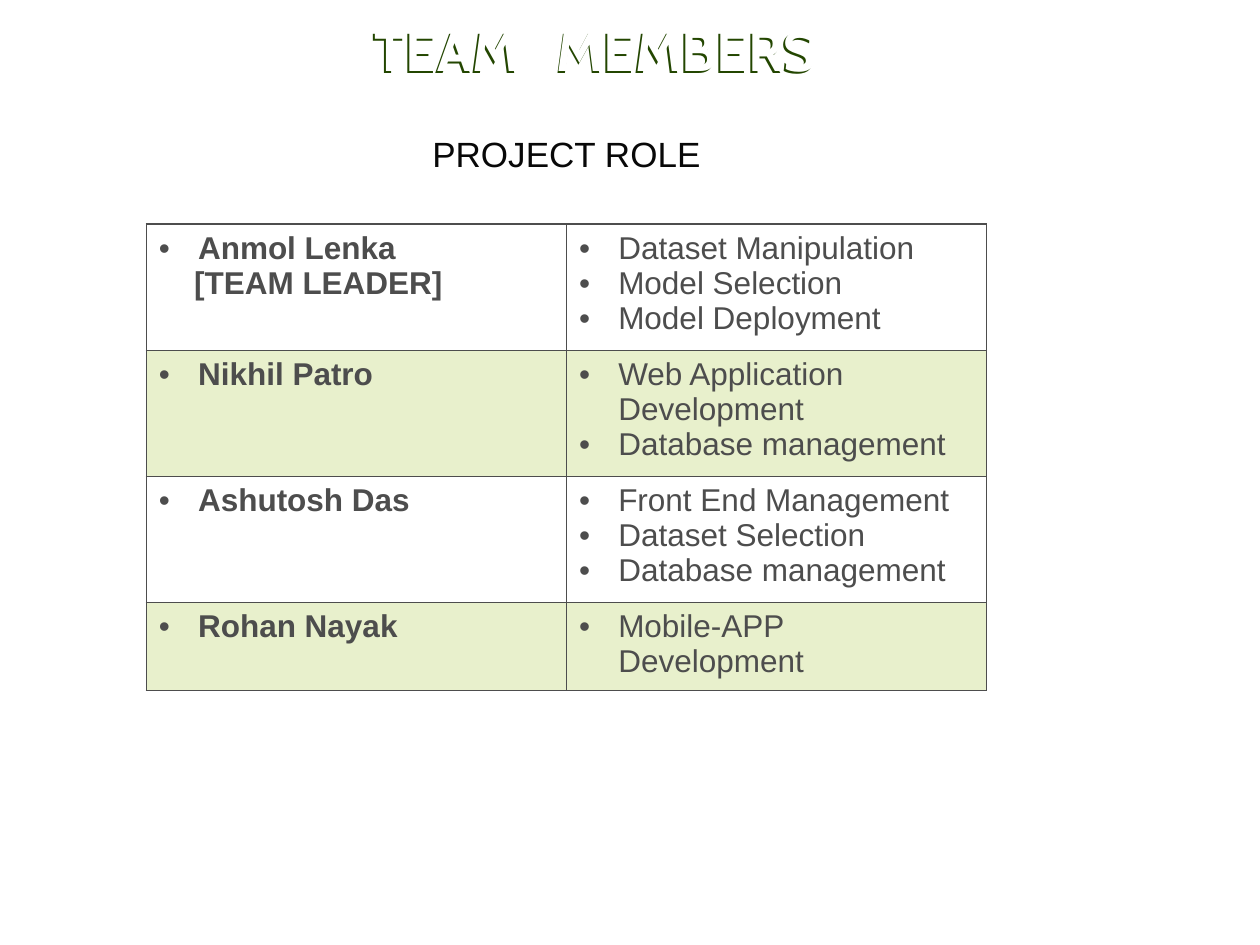
from lxml.etree import SubElement
from pptx import Presentation
from pptx.dml.color import RGBColor
from pptx.enum.text import MSO_ANCHOR, PP_ALIGN
from pptx.oxml.ns import qn
from pptx.util import Cm, Pt

TITLE = "TEAM   MEMBERS"
HEADING = "PROJECT ROLE"
MEMBERS = [
    ("Anmol Lenka", "[TEAM LEADER]", 3,
     ["Dataset Manipulation", "Model Selection", "Model Deployment"]),
    ("Nikhil Patro", None, 3, ["Web Application Development", "Database management"]),
    ("Ashutosh Das", None, 3,
     ["Front End Management", "Dataset Selection", "Database management"]),
    ("Rohan Nayak", None, 2, ["Mobile-APP Development"]),
]
GREY, BAND, SHADOW = "4D4D4D", "E8F0CC", "234600"
COLUMN_WIDTH, LINE_HEIGHT, ROW_PADDING = 8.47, 0.71, 0.25


def hex_color(value):
    return RGBColor.from_string(value)


def add_node(parent, tag, **attributes):
    return SubElement(parent, qn(tag), {key: str(value) for key, value in attributes.items()})


def write(frame, text, size=18, color=GREY, font="Arial", bold=False, align=PP_ALIGN.LEFT,
          bullet=False, indent=0, first=True):
    paragraph = frame.paragraphs[0] if first else frame.add_paragraph()
    paragraph.alignment = align
    run = paragraph.add_run()
    run.text = text
    run.font.size, run.font.name, run.font.bold = Pt(size), font, bold
    run.font.color.rgb = hex_color(color)
    properties = paragraph._p.get_or_add_pPr()
    properties.set("marL", str(Cm(indent)))
    properties.set("indent", str(-Cm(indent) if bullet else 0))
    if bullet:
        add_node(properties, "a:buFont", typeface="Arial")
        add_node(properties, "a:buChar", char="•")
    return paragraph


def add_shadow(shape, color):
    effects = add_node(shape._element.spPr, "a:effectLst")
    shadow = add_node(effects, "a:outerShdw", dist=Pt(1.5), dir=8100000, algn="tl")
    add_node(shadow, "a:srgbClr", val=color)


def format_cell(cell, banded):
    if banded:
        cell.fill.solid()
        cell.fill.fore_color.rgb = hex_color(BAND)
    else:
        cell.fill.background()
    properties = cell._tc.get_or_add_tcPr()
    for position, side in enumerate(("a:lnL", "a:lnR", "a:lnT", "a:lnB")):
        border = add_node(properties, side, w=Pt(1))
        add_node(add_node(border, "a:solidFill"), "a:srgbClr", val=GREY)
        properties.insert(position, border)


def add_members(slide):
    members = slide.shapes.add_table(
        len(MEMBERS), 2, Cm(2.95), Cm(4.52), Cm(2 * COLUMN_WIDTH), Cm(8.8)).table
    members.first_row = members.horz_banding = False
    for column in members.columns:
        column.width = Cm(COLUMN_WIDTH)
    for index, (name, position, lines, roles) in enumerate(MEMBERS):
        members.rows[index].height = Cm(lines * LINE_HEIGHT + ROW_PADDING)
        name_cell, role_cell = members.cell(index, 0), members.cell(index, 1)
        write(name_cell.text_frame, name, bold=True, bullet=True, indent=0.79)
        if position:
            write(name_cell.text_frame, position, bold=True, indent=0.71, first=False)
        for number, role in enumerate(roles):
            write(role_cell.text_frame, role, bullet=True, indent=0.79, first=number == 0)
        for cell in (name_cell, role_cell):
            format_cell(cell, banded=index % 2 == 1)


def main():
    """Build the team members slide."""
    deck = Presentation()
    deck.slide_width, deck.slide_height = Cm(25.4), Cm(19.05)
    slide = deck.slides.add_slide(deck.slide_layouts[5])

    title = slide.shapes.title
    title.left, title.top, title.width, title.height = Cm(6.1), Cm(0.1), Cm(11.81), Cm(1.8)
    title.text_frame.vertical_anchor = MSO_ANCHOR.MIDDLE
    write(title.text_frame, TITLE, size=32, color="FFFFFF", font="Cabin", bold=True,
          align=PP_ALIGN.CENTER)
    add_shadow(title, SHADOW)

    heading = slide.shapes.add_textbox(Cm(2.9), Cm(2.72), Cm(17.04), Cm(13.31)).text_frame
    heading.word_wrap = True
    paragraph = write(heading, HEADING, size=20, color="080808", align=PP_ALIGN.CENTER)
    paragraph.line_spacing, paragraph.space_before = 0.8, Pt(4)

    add_members(slide)
    deck.save("out.pptx")


if __name__ == "__main__":
    main()
